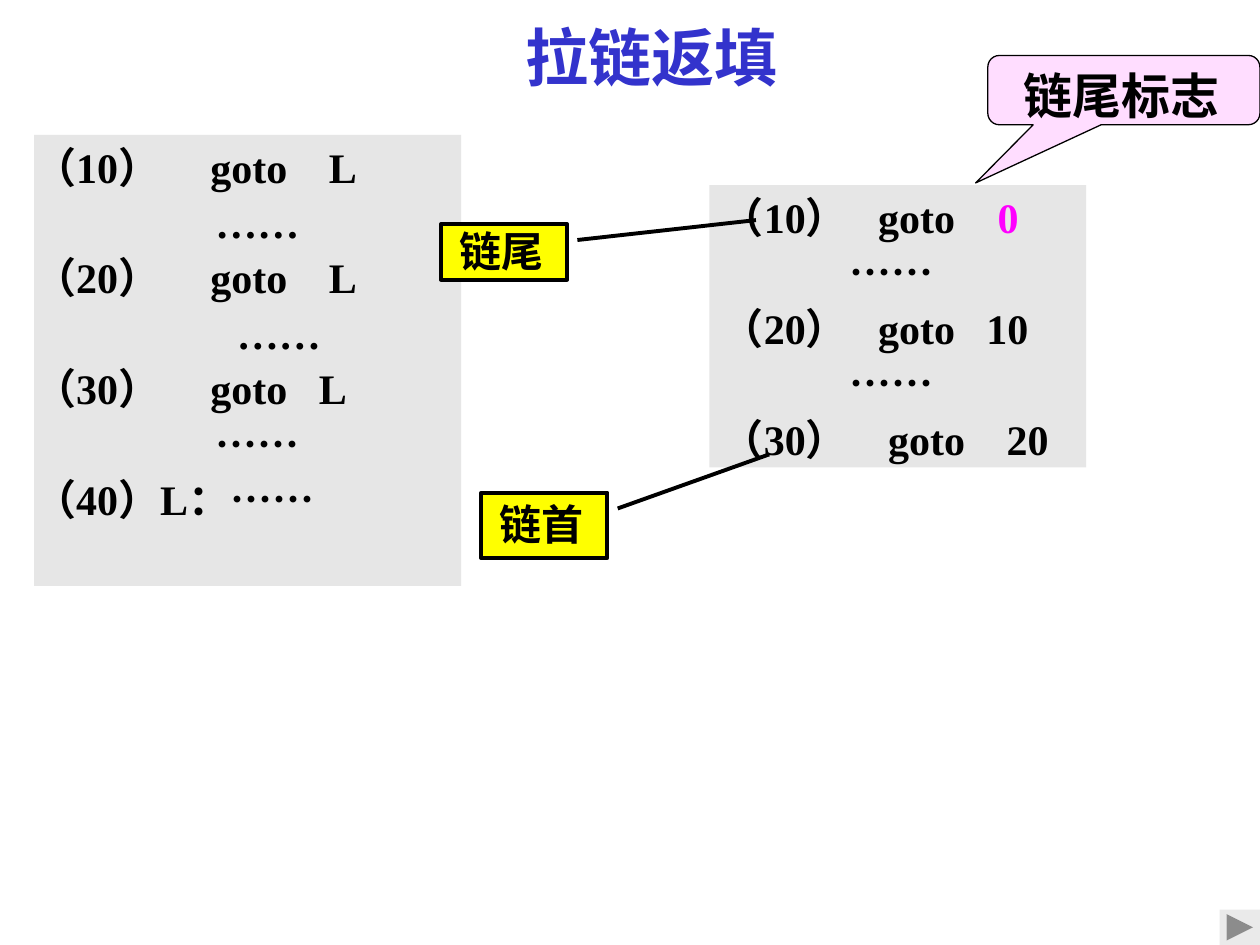
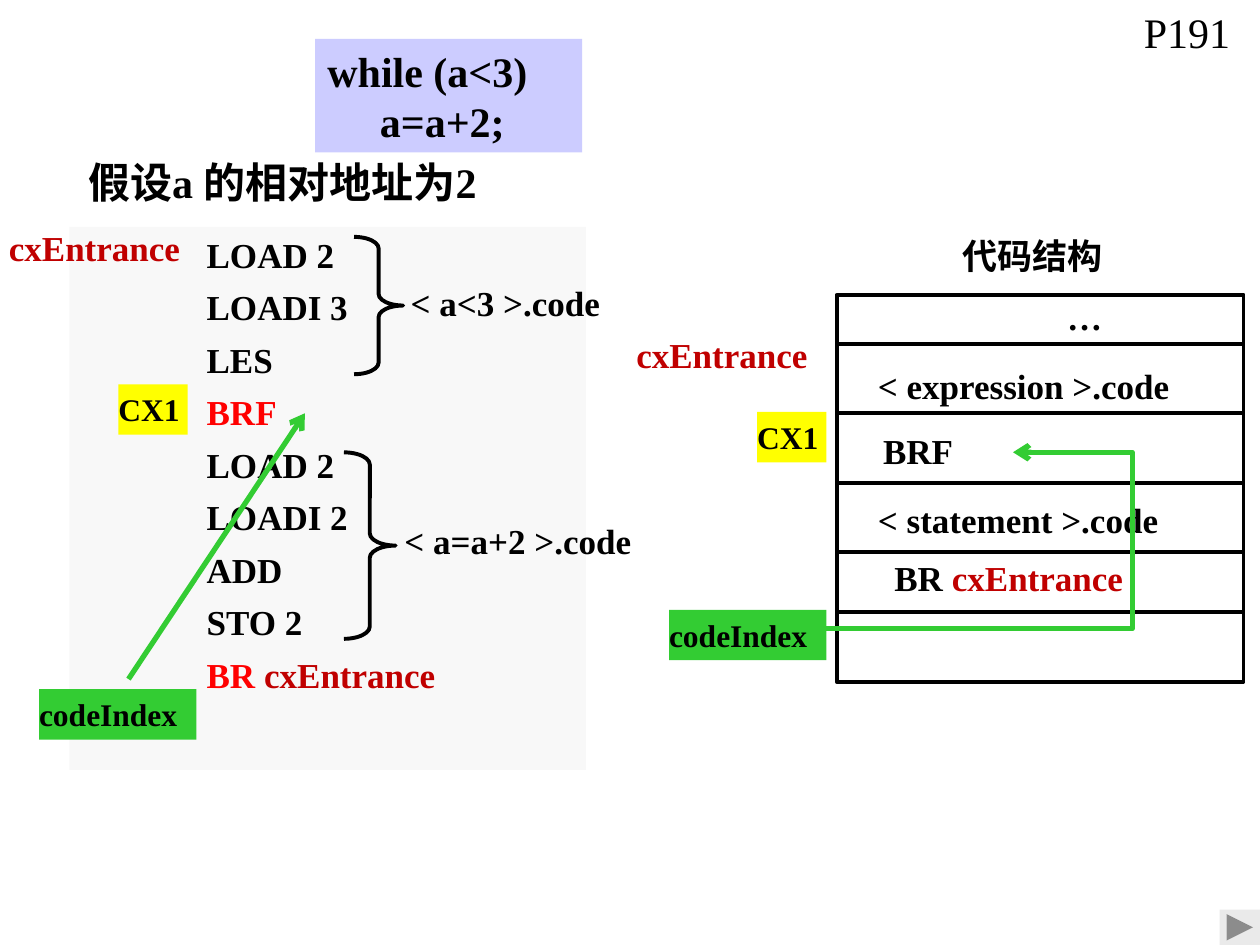
from pptx import Presentation
from pptx.dml.color import RGBColor
from pptx.enum.shapes import MSO_CONNECTOR as Link, MSO_SHAPE as Preset
from pptx.enum.text import MSO_ANCHOR, MSO_AUTO_SIZE, PP_ALIGN
from pptx.oxml.ns import qn
from pptx.util import Inches, Pt
from lxml.etree import SubElement

COLORS = {
    "black": "000000", "title": "3333CC", "panel": "E6E6E6", "pale": "F8F8F8",
    "lilac": "CCCCFF", "pink": "FFDDFF", "magenta": "FF00FF", "yellow": "FFFF00",
    "green": "33CC33", "red": "FF0000", "dark_red": "C00000", "button": "EAEAEA",
}
LATIN, HAN = "Times New Roman", "Noto Sans CJK SC"
WIDTH, HEIGHT = 10, 7.5
TITLE_ONLY = 5
TIGHT = (0, 0.01, 0.04, 0.01)
NORMAL = (0.1, 0.05, 0.1, 0.05)
CHIP = (0, 0.05, 0, 0.05)
FLUSH = (0, 0, 0, 0)

JUMPS = [
    {"text": "（10）\tgoto\tL", "tabs": (1.67, 2.61)},
    {"text": "……", "start": 1.71},
    {"text": "（20）\tgoto\tL", "tabs": (1.67, 2.61)},
    {"text": "……", "start": 1.88},
    {"text": "（30）\tgoto\tL", "tabs": (1.67, 2.53)},
    {"text": "　……", "start": 1.38},
    {"text": "（40）L：……"},
]
CHAIN = [
    {"text": [("（10）\tgoto\t", "black"), ("0", "magenta")], "tabs": (6.97, 7.92)},
    {"text": "　……", "start": 6.41},
    {"text": "（20）\tgoto\t10", "tabs": (6.97, 7.83)},
    {"text": "　……", "start": 6.41},
    {"text": "（30）\tgoto\t20", "tabs": (7.05, 7.99)},
]
CHAIN_ENDS = [
    ("链尾", (3.5, 1.78, 1, 0.44), (0.285, 1.083, -0.075, 2.5), 1),
    ("链首", (3.82, 3.91, 1, 0.52), (0.242, 1.083, -0.584, 2.285), 1.1),
]
INSTRUCTIONS = [
    "LOAD 2", "LOADI 3", "LES", [("BRF", "red")],
    "LOAD 2", "LOADI 2", "ADD", "STO 2",
    [("BR ", "red"), ("cxEntrance", "dark_red")],
]
BRACES = [(2.81, 1.88, 0.39, 1.09), (2.73, 3.59, 0.41, 1.48)]
BRACE_LABELS = [
    ((3.26, 2.2, 2.13, 0.39), "< a<3 >.code"),
    ((3.21, 4.09, 2.26, 0.49), "< a=a+2 >.code"),
]
STRUCTURE_LEFT, STRUCTURE_WIDTH = 6.64, 3.23
ROW_EDGES = [2.34, 2.73, 3.28, 3.83, 4.38, 4.86, 5.41]
STRUCTURE_LABELS = [
    ((8.37, 2.26, 1.42, 0.47), "…", 1.1),
    ((6.87, 2.81, 2.84, 0.47), "< expression >.code", 1.1),
    ((6.91, 3.36, 2.72, 0.43), "BRF", 1),
    ((6.87, 3.91, 2.84, 0.43), "< statement >.code", 1),
    ((7, 4.37, 2.54, 0.44), [("BR ", "black"), ("cxEntrance", "dark_red")], 1),
]
ENTRANCES = [(0.07, 1.8), (5.05, 2.65)]
CHIPS = [
    ("CX1", "yellow", 0.55, [(0.94, 3.05), (6.01, 3.27)]),
    ("codeIndex", "green", 1.25, [(0.31, 5.47), (5.31, 4.84)]),
]


def color(name):
    return RGBColor.from_string(COLORS[name])


def inches(values):
    return [Inches(value) for value in values]


def set_columns(para, origin, line):
    properties = para._p.get_or_add_pPr()
    if "start" in line:
        properties.set("marL", str(Inches(line["start"]) - origin))
    if "tabs" in line:
        stops = SubElement(properties, qn("a:tabLst"))
        for stop in line["tabs"]:
            SubElement(stops, qn("a:tab"), pos=str(Inches(stop) - origin), algn="l")


def write(box, lines, size, font=LATIN, ink="black", bold=True, insets=TIGHT,
          spacing=1.0, before=0, align=PP_ALIGN.LEFT):
    frame = box.text_frame
    left, top, right, bottom = inches(insets)
    settings = dict(word_wrap=True, auto_size=MSO_AUTO_SIZE.NONE,
                    vertical_anchor=MSO_ANCHOR.TOP, margin_left=left,
                    margin_top=top, margin_right=right, margin_bottom=bottom)
    for name, value in settings.items():
        setattr(frame, name, value)
    for index, line in enumerate(lines):
        para = frame.add_paragraph() if index else frame.paragraphs[0]
        if isinstance(line, dict):
            set_columns(para, box.left + left, line)
            line = line["text"]
        para.alignment = align
        para.line_spacing = spacing
        para.space_before = Pt(before if index else 0)
        for text, tint in [(line, ink)] if isinstance(line, str) else line:
            span = para.add_run()
            span.text = text
            for name, value in dict(size=Pt(size), bold=bold, name=font).items():
                setattr(span.font, name, value)
            span.font.color.rgb = color(tint)
            SubElement(span._r.get_or_add_rPr(), qn("a:ea"), typeface=HAN)


def add_box(page, preset, place, fill=None, line=0, adjust=()):
    box = page.shapes.add_shape(preset, *inches(place))
    box.shadow.inherit = False
    for index, value in enumerate(adjust):
        box.adjustments[index] = value
    if fill:
        box.fill.solid()
        box.fill.fore_color.rgb = color(fill)
    else:
        box.fill.background()
    if line:
        box.line.color.rgb = color("black")
        box.line.width = Pt(line)
    else:
        box.line.fill.background()
    return box


def add_panel(page, place, fill, lines, size, **style):
    write(add_box(page, Preset.RECTANGLE, place, fill), lines, size, **style)


def add_label(page, place, line, size=20, **style):
    write(page.shapes.add_textbox(*inches(place)), [line], size, **style)


def add_line(page, start, end, ink="black", width=2.25, kind=Link.STRAIGHT, arrow=False):
    line = page.shapes.add_connector(kind, *inches(start + end))
    line.line.color.rgb = color(ink)
    line.line.width = Pt(width)
    if arrow:
        SubElement(line.line._get_or_add_ln(), qn("a:tailEnd"), type="arrow")
    SubElement(line._element.spPr, qn("a:effectLst"))
    return line


def add_page(deck, heading, place, size, **style):
    page = deck.slides.add_slide(deck.slide_layouts[TITLE_ONLY])
    title = page.shapes.title
    title.left, title.top, title.width, title.height = inches(place)
    write(title, [heading], size, **style)
    add_box(page, Preset.ACTION_BUTTON_FORWARD_OR_NEXT,
            (WIDTH - 0.32, HEIGHT - 0.28, 0.32, 0.28), "button")
    return page


def build_backpatching(deck):
    page = add_page(deck, "拉链返填", (4.17, 0.08, 2.41, 0.69), 36,
                    font=HAN, ink="title", spacing=1.1)
    add_panel(page, (0.27, 1.07, 3.39, 3.58), "panel", JUMPS, 24, spacing=1.1)
    add_panel(page, (5.63, 1.47, 2.99, 2.24), "panel", CHAIN, 24,
              insets=(0.1, 0.01, 0.04, 0.01), spacing=1.1)
    centred = dict(font=HAN, align=PP_ALIGN.CENTER)
    for text, place, adjust, spacing in CHAIN_ENDS:
        box = add_box(page, Preset.LINE_CALLOUT_1, place, "yellow", 2.25, adjust)
        write(box, [text], 24, spacing=spacing, **centred)
    mark = add_box(page, Preset.ROUNDED_RECTANGULAR_CALLOUT, (7.84, 0.44, 2.16, 0.55),
                   "pink", 0.75, (-0.545, 1.34, 0.167))
    write(mark, ["链尾标志"], 28, spacing=1.1, **centred)


def build_while_code(deck):
    page = add_page(deck, "假设a 的相对地址为2", (0.6, 1.19, 3.91, 0.51), 24,
                    insets=NORMAL)
    add_panel(page, (0.55, 1.8, 4.1, 4.31), "pale", INSTRUCTIONS, 20,
              insets=(1.09, 0.05, 0.1, 0.05), before=6)
    add_panel(page, (2.5, 0.31, 2.12, 0.9), "lilac", ["while (a<3)", "     a=a+2;"], 24,
              insets=NORMAL)
    add_label(page, (8.98, 0, 1.02, 0.5), "P191", 24, bold=False, insets=NORMAL)

    for place in BRACES:
        add_box(page, Preset.RIGHT_BRACE, place, line=2.25, adjust=(0.236, 0.5))
    for place, line in BRACE_LABELS:
        add_label(page, place, line, insets=FLUSH, spacing=1.1)

    top, *dividers, bottom = ROW_EDGES
    add_box(page, Preset.RECTANGLE,
            (STRUCTURE_LEFT, top, STRUCTURE_WIDTH, bottom - top), line=2.25)
    for y in dividers:
        add_line(page, (STRUCTURE_LEFT, y), (STRUCTURE_LEFT + STRUCTURE_WIDTH, y))
    add_label(page, (7.54, 1.78, 1.42, 0.47), "代码结构", font=HAN,
              insets=NORMAL, spacing=1.1)
    for place, line, spacing in STRUCTURE_LABELS:
        add_label(page, place, line, insets=NORMAL, spacing=spacing)

    for corner in ENTRANCES:
        add_label(page, corner + (1.49, 0.34), "cxEntrance", ink="dark_red",
                  insets=FLUSH)
    for text, fill, width, corners in CHIPS:
        for corner in corners:
            add_panel(page, corner + (width, 0.4), fill, [text], 18, insets=CHIP)

    green = dict(ink="green", width=3, arrow=True)
    bent = add_line(page, (6.17, 4.99), (8.04, 3.59), kind=Link.ELBOW, **green)
    guides = bent._element.spPr.find(qn("a:prstGeom")).get_or_add_avLst()
    SubElement(guides, qn("a:gd"), name="adj1", fmla="val 150600")
    add_line(page, (1.02, 5.39), (2.42, 3.28), **green)


def main():
    deck = Presentation()
    deck.slide_width, deck.slide_height = inches((WIDTH, HEIGHT))
    build_backpatching(deck)
    build_while_code(deck)
    deck.save("out.pptx")


if __name__ == "__main__":
    main()
